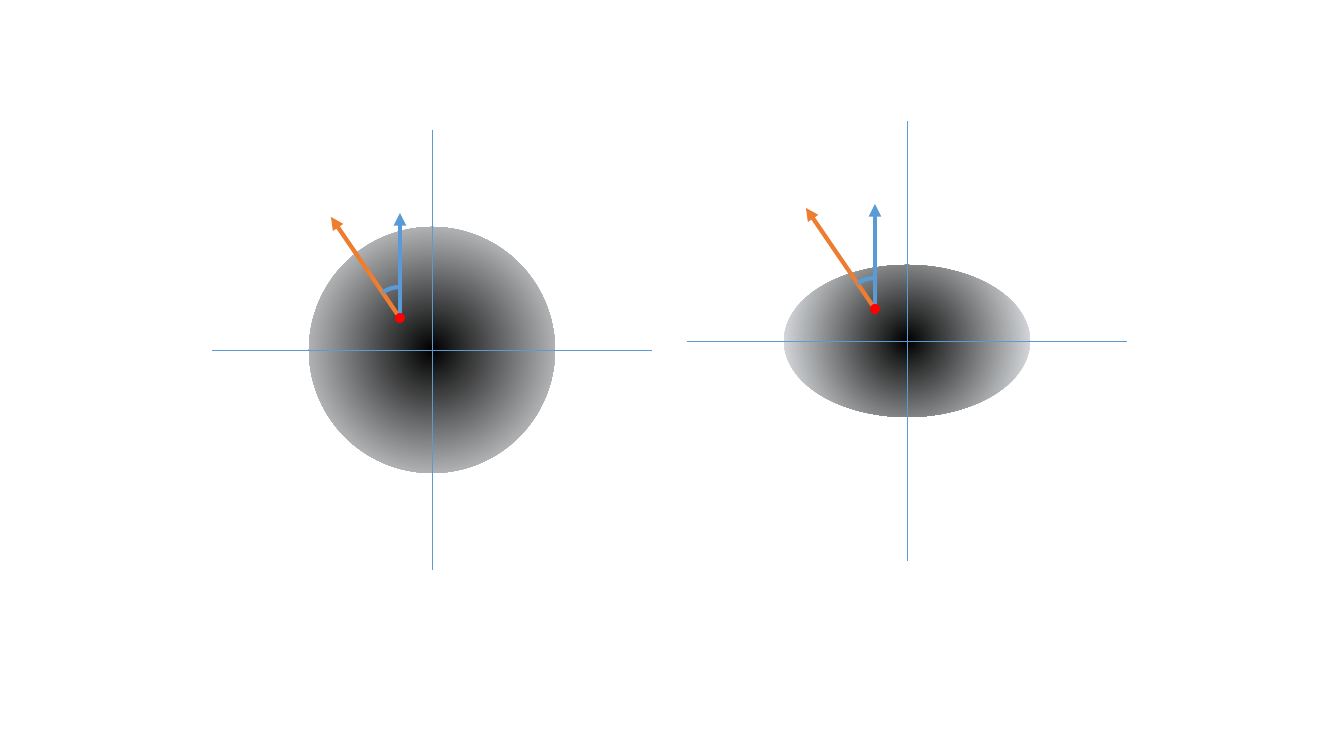
"""Draw a sphere and an ellipsoid with the angle between normal and vertical."""
import pptx
import pptx.dml.color
import pptx.enum.dml
import pptx.enum.shapes
import pptx.oxml
import pptx.oxml.ns
import pptx.util

SCALE = 914400 / 100.8
PAGE_SIZE = (1344, 756)
FIGURES = [
    {"centre": (432, 350), "radii": (123, 123)},
    {"centre": (907, 341), "radii": (123, 76)},
]
BLUE, ORANGE, RED = "5B9BD5", "ED7D31", "FF0000"
GRADIENT = ("000000", "F7FAFD")
AXIS_REACH = 220
POINT_OFFSET = (-32, -32)
NORMAL_TIP = (-69, -101)
VERTICAL_TIP = (0, -105)
ARC_RADIUS, DOT_RADIUS = 31, 5
ARC_START = 195.98
MAIN = 'xmlns:a="http://schemas.openxmlformats.org/drawingml/2006/main"'
SHAPES = pptx.enum.shapes.MSO_SHAPE


def px(value):
    return pptx.util.Emu(round(value * SCALE))


def colour(value):
    return pptx.dml.color.RGBColor.from_string(value)


def shift(start, offset):
    return start[0] + offset[0], start[1] + offset[1]


def set_line(shape, value, width):
    shape.line.fill.solid()
    shape.line.fill.fore_color.rgb = colour(value)
    shape.line.width = pptx.util.Pt(width)


def add_line(group, start, end, value, width, arrow=False):
    line = group.shapes.add_connector(
        pptx.enum.shapes.MSO_CONNECTOR.STRAIGHT, *map(px, start + end))
    set_line(line, value, width)
    properties = line.element.spPr
    if arrow:
        head = pptx.oxml.parse_xml(f'<a:tailEnd {MAIN} type="triangle"/>')
        properties.find(pptx.oxml.ns.qn("a:ln")).append(head)
    properties.append(pptx.oxml.parse_xml(f"<a:effectLst {MAIN}/>"))


def add_round(group, kind, centre, radii):
    left, top = shift(centre, (-radii[0], -radii[1]))
    shape = group.shapes.add_shape(
        kind, px(left), px(top), px(2 * radii[0]), px(2 * radii[1]))
    shape.shadow.inherit = False
    shape.fill.background()
    shape.line.fill.background()
    return shape


def fill_radial(shape, colours):
    shape.fill.gradient()
    for stop, value in zip(shape.fill.gradient_stops, colours):
        stop.color.rgb = colour(value)
    gradient = shape.element.spPr.find(pptx.oxml.ns.qn("a:gradFill"))
    linear = gradient.find(pptx.oxml.ns.qn("a:lin"))
    gradient.replace(linear, pptx.oxml.parse_xml(
        f'<a:path {MAIN} path="circle">'
        '<a:fillToRect l="50000" t="50000" r="50000" b="50000"/></a:path>'))


def add_figure(page, centre, radii):
    group = page.shapes.add_group_shape()
    fill_radial(add_round(group, SHAPES.OVAL, centre, radii), GRADIENT)
    for reach in ((AXIS_REACH, 0), (0, AXIS_REACH)):
        opposite = (-reach[0], -reach[1])
        add_line(group, shift(centre, opposite), shift(centre, reach), BLUE, 0.5)

    point = shift(centre, POINT_OFFSET)
    add_line(group, point, shift(point, NORMAL_TIP), ORANGE, 3, arrow=True)
    arc = add_round(group, SHAPES.ARC, point, (ARC_RADIUS, ARC_RADIUS))
    arc.rotation = 270
    arc.adjustments[0] = ARC_START
    arc.adjustments[1] = 0
    set_line(arc, BLUE, 3)
    add_line(group, point, shift(point, VERTICAL_TIP), BLUE, 3, arrow=True)
    dot = add_round(group, SHAPES.OVAL, point, (DOT_RADIUS, DOT_RADIUS))
    dot.fill.solid()
    dot.fill.fore_color.rgb = colour(RED)


def main():
    deck = pptx.Presentation()
    deck.slide_width, deck.slide_height = map(px, PAGE_SIZE)
    page = deck.slides.add_slide(deck.slide_layouts[6])
    for figure in FIGURES:
        add_figure(page, **figure)
    deck.save("out.pptx")


if __name__ == "__main__":
    main()
